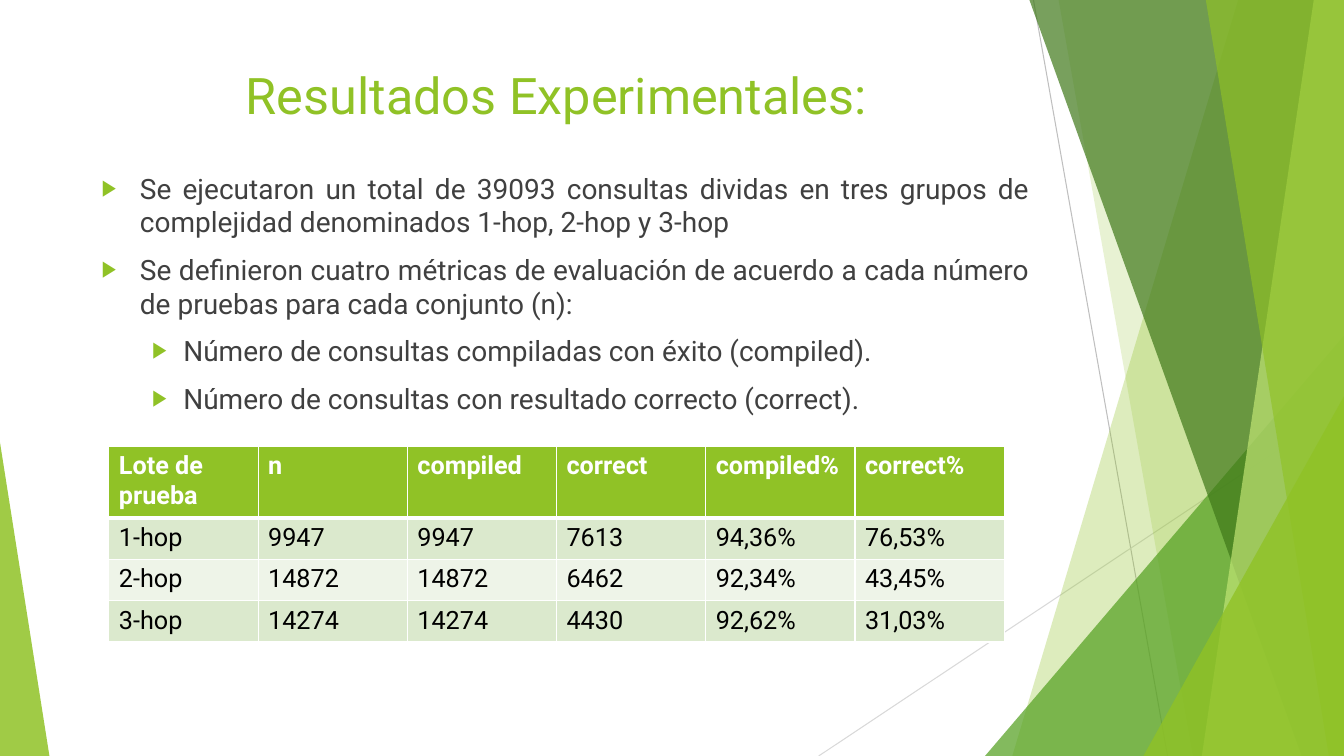
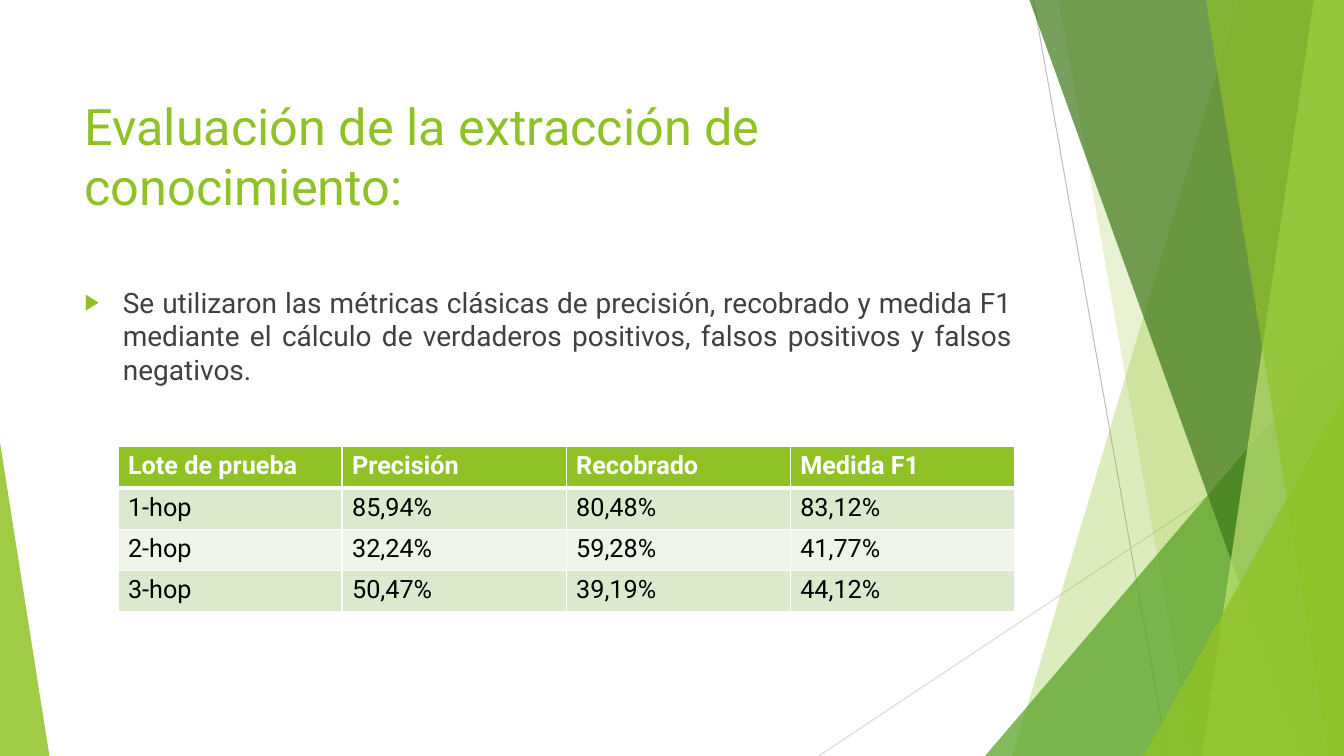
from dataclasses import dataclass

from lxml.etree import SubElement
from pptx import Presentation
from pptx.dml.color import RGBColor
from pptx.enum.shapes import MSO_CONNECTOR, MSO_SHAPE
from pptx.enum.text import MSO_ANCHOR, PP_ALIGN
from pptx.oxml.ns import qn
from pptx.util import Inches, Pt


@dataclass(frozen=True)
class Theme:
    font: str = "Roboto"
    lime: str = "90C226"
    leaf: str = "54A021"
    moss: str = "3F7819"
    pale: str = "C0E474"
    body: str = "404040"
    black: str = "000000"
    white: str = "FFFFFF"
    grey: str = "BFBFBF"
    mist: str = "D9D9D9"
    bands: tuple = ("DBE9CD", "EEF4E8")
    title: int = 36
    text: int = 20
    cell: int = 18
    gap: int = 10
    line: float = 0.75


@dataclass(frozen=True)
class Box:
    x: float
    y: float
    w: float
    h: float

    @property
    def right(self):
        return self.x + self.w

    @property
    def base(self):
        return self.y + self.h

    def place(self):
        return [Inches(n) for n in (self.x, self.y, self.w, self.h)]


THEME = Theme()
WIDE, HIGH = 13.33, 7.5
INDENTS = ((0.38, -0.38), (0.81, -0.31))
ROW = 0.41
SLATS = (
    ("slat", 1.05, 3.29, THEME.lime, 30),
    ("slat", 2.83, 1.5, THEME.lime, 20),
    ("peak", 3.56, 4.17, THEME.leaf, 72),
    ("slat", 3.12, 0.42, THEME.moss, 70),
    ("slat", 0.3, 1.41, THEME.pale, 70),
    ("slat", 1.37, 0.15, THEME.lime, 65),
    ("peak", 1.99, 3.57, THEME.lime, 80),
)


def node(parent, tag, **attrs):
    return SubElement(parent, qn(tag), attrs)


def write(para, text, size=THEME.text, color=THEME.body, bold=False,
          align=PP_ALIGN.LEFT, level=None):
    para.alignment = align
    run = para.add_run()
    run.text = text
    font = run.font
    font.name, font.size, font.bold = THEME.font, Pt(size), bold
    font.color.rgb = RGBColor.from_string(color)
    if level is not None:
        para.level = level
        para.space_before = Pt(THEME.gap)
        mark(para, *INDENTS[level])


def mark(para, left, hang):
    props = para._p.get_or_add_pPr()
    props.set("marL", str(Inches(left)))
    props.set("indent", str(Inches(hang)))
    node(node(props, "a:buClr"), "a:srgbClr", val=THEME.lime)
    node(props, "a:buSzPct", val="80000")
    node(props, "a:buFont", typeface=THEME.font)
    node(props, "a:buChar", char="▶")


def paint(shape, color, alpha):
    shape.shadow.inherit = False
    shape.line.fill.background()
    shape.fill.solid()
    shape.fill.fore_color.rgb = RGBColor.from_string(color)
    tint = shape.fill._xPr.find(".//" + qn("a:srgbClr"))
    node(tint, "a:alpha", val=str(alpha * 1000))


def rule(slide, start, end, color):
    ends = [Inches(n) for n in start + end]
    line = slide.shapes.add_connector(MSO_CONNECTOR.STRAIGHT, *ends)
    line.line.color.rgb = RGBColor.from_string(color)
    line.line.width = Pt(THEME.line)
    node(line._element.spPr, "a:effectLst")


def slat(slide, box, top, low):
    spots = ((box.right - top, box.y), (box.right, box.y),
             (box.right, box.base), (box.right - low, box.base))
    spots = [(Inches(x), Inches(y)) for x, y in spots]
    pen = slide.shapes.build_freeform(*spots[0])
    pen.add_line_segments(spots[1:], close=True)
    return pen.convert_to_shape()


def peak(slide, box, tip):
    shape = slide.shapes.add_shape(MSO_SHAPE.ISOSCELES_TRIANGLE, *box.place())
    shape.adjustments[0] = tip
    return shape


def wing(slide, box):
    rule(slide, (box.x + 2.13, box.y), (box.x + 3.46, box.base), THEME.grey)
    rule(slide, (box.right, box.y + 4.03), (box.x, box.base), THEME.mist)
    for kind, first, second, color, alpha in SLATS:
        if kind == "slat":
            shape = slat(slide, box, first, second)
        else:
            spot = Box(box.right - first, box.base - second, first, second)
            shape = peak(slide, spot, 1)
        paint(shape, color, alpha)


def decor(slide, box):
    wing(slide, Box(box.right - 5.21, box.y, 5.21, box.h))
    left = peak(slide, Box(box.x, box.base - 3.11, 0.49, 3.11), 0)
    paint(left, THEME.lime, 85)


def panel(slide, box):
    frame = slide.shapes.add_textbox(*box.place()).text_frame
    frame.word_wrap = True
    frame.vertical_anchor = MSO_ANCHOR.TOP
    return frame


def head(slide, box, text, align):
    write(panel(slide, box).paragraphs[0], text, size=THEME.title,
          color=THEME.lime, align=align)


def points(slide, box, items):
    frame = panel(slide, box)
    for i, (level, text) in enumerate(items):
        para = frame.add_paragraph() if i else frame.paragraphs[0]
        write(para, text, align=PP_ALIGN.JUSTIFY, level=level)


def edge(cell, base):
    props = cell._tc.get_or_add_tcPr()
    for side, width in zip("LRTB", (1, 1, 1, base)):
        line = node(props, "a:ln" + side, w=str(Pt(width)))
        node(node(line, "a:solidFill"), "a:srgbClr", val=THEME.white)


def grid(slide, box, rows, top=ROW):
    frame = slide.shapes.add_table(len(rows), len(rows[0]), *box.place())
    table = frame.table
    table.horz_banding = False
    for i, row in enumerate(rows):
        first = i == 0
        table.rows[i].height = Inches(top if first else ROW)
        back = THEME.lime if first else THEME.bands[(i - 1) % 2]
        for j, text in enumerate(row):
            cell = table.cell(i, j)
            edge(cell, 3 if first or i == 1 and False else 1)
            cell.fill.solid()
            cell.fill.fore_color.rgb = RGBColor.from_string(back)
            write(cell.text_frame.paragraphs[0], text, size=THEME.cell,
                  color=THEME.white if first else THEME.black, bold=first)


def page(deck):
    slide = deck.slides.add_slide(deck.slide_layouts[6])
    decor(slide, Box(0, 0, WIDE, HIGH))
    return slide


def results(deck):
    slide = page(deck)
    head(slide, Box(0.82, 0.59, 9.4, 0.9), "Resultados Experimentales:",
         PP_ALIGN.CENTER)
    points(slide, Box(0.91, 1.65, 9.4, 2.7), (
        (0, "Se ejecutaron un total de 39093 consultas dividas en tres grupos "
            "de complejidad denominados 1-hop, 2-hop y 3-hop"),
        (0, "Se definieron cuatro métricas de evaluación de acuerdo a cada "
            "número de pruebas para cada conjunto (n):"),
        (1, "Número de consultas compiladas con éxito (compiled)."),
        (1, "Número de consultas con resultado correcto (correct)."),
    ))
    grid(slide, Box(1.08, 4.43, 8.88, 1.94), (
        ("Lote de prueba", "n", "compiled", "correct", "compiled%", "correct%"),
        ("1-hop", "9947", "9947", "7613", "94,36%", "76,53%"),
        ("2-hop", "14872", "14872", "6462", "92,34%", "43,45%"),
        ("3-hop", "14274", "14274", "4430", "92,62%", "31,03%"),
    ), top=0.71)


def scores(deck):
    slide = page(deck)
    head(slide, Box(0.74, 0.89, 9.4, 1.44),
         "Evaluación de la extracción de conocimiento:", PP_ALIGN.LEFT)
    points(slide, Box(0.74, 2.78, 9.4, 1.5), (
        (0, "Se utilizaron las métricas clásicas de precisión, recobrado y "
            "medida F1 mediante el cálculo de verdaderos positivos, falsos "
            "positivos y falsos negativos."),
    ))
    grid(slide, Box(1.17, 4.43, 8.89, 1.64), (
        ("Lote de prueba", "Precisión", "Recobrado", "Medida F1"),
        ("1-hop", "85,94%", "80,48%", "83,12%"),
        ("2-hop", "32,24%", "59,28%", "41,77%"),
        ("3-hop", "50,47%", "39,19%", "44,12%"),
    ))


def main():
    deck = Presentation()
    deck.slide_width, deck.slide_height = Inches(WIDE), Inches(HIGH)
    results(deck)
    scores(deck)
    deck.save("out.pptx")


if __name__ == "__main__":
    main()
